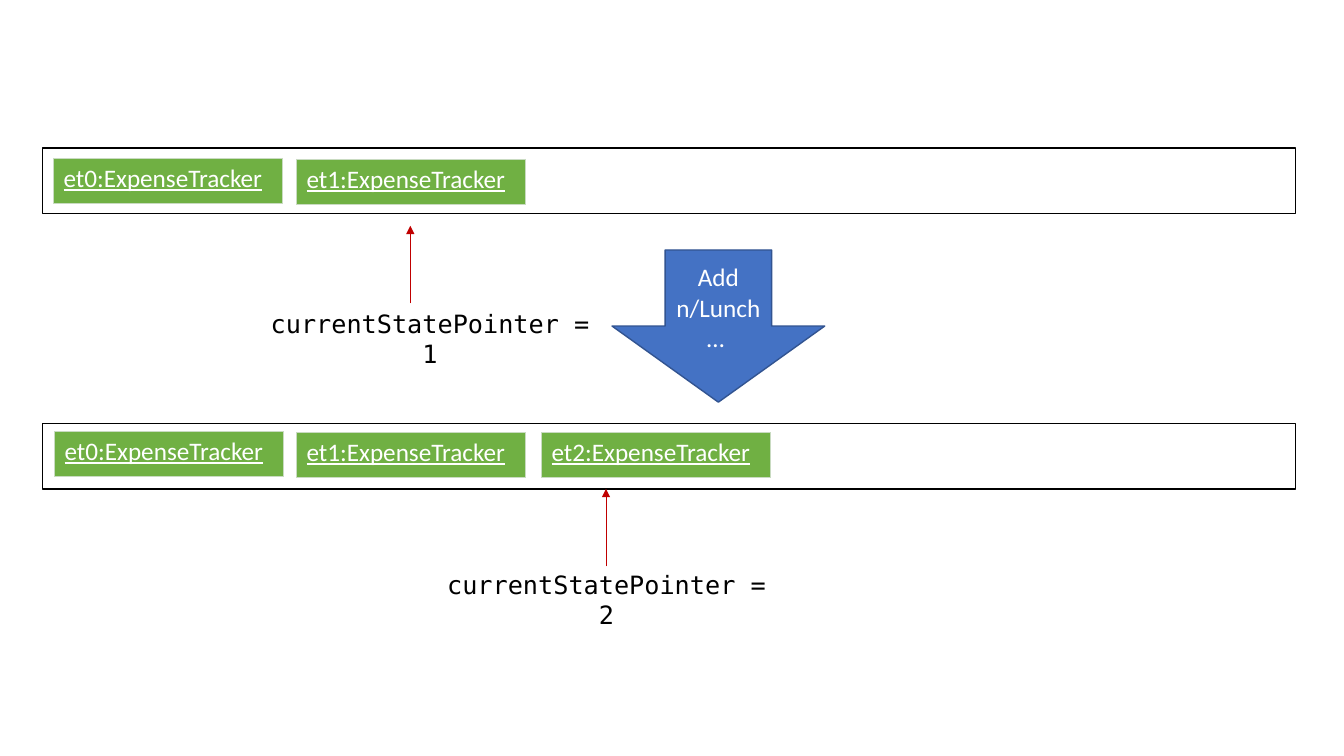
from lxml import etree
from pptx import Presentation
from pptx.dml.color import RGBColor
from pptx.enum.shapes import MSO_CONNECTOR, MSO_SHAPE
from pptx.enum.text import MSO_ANCHOR, MSO_AUTO_SIZE, PP_ALIGN
from pptx.oxml import parse_xml
from pptx.oxml.ns import nsdecls, qn
from pptx.util import Inches, Pt

CENTER, LEFT = PP_ALIGN.CENTER, PP_ALIGN.LEFT
MIDDLE = MSO_ANCHOR.MIDDLE
FIT_SHAPE = MSO_AUTO_SIZE.SHAPE_TO_FIT_TEXT
RECT, DOWN_ARROW = MSO_SHAPE.RECTANGLE, MSO_SHAPE.DOWN_ARROW
STRAIGHT = MSO_CONNECTOR.STRAIGHT

BLACK = RGBColor(0x00, 0x00, 0x00)
WHITE = RGBColor(0xFF, 0xFF, 0xFF)
BLUE = RGBColor(0x44, 0x72, 0xC4)
DARK_BLUE = RGBColor(0x32, 0x54, 0x91)
GREEN = RGBColor(0x70, 0xB0, 0x43)
PALE_GREEN = RGBColor(0xC9, 0xDB, 0xC1)
RED = RGBColor(0xC0, 0x00, 0x00)

SANS, MONO = "Calibri", "DejaVu Sans Mono"
STATE_W, STATE_H = 2.27, 0.45
POINTER_LENGTH = 0.77


def write_text(tf, text, font=SANS, color=WHITE, align=LEFT, underline=None):
    tf.word_wrap = True
    p = tf.paragraphs[0]
    p.alignment = align
    r = p.add_run()
    r.text = text
    r.font.name = font
    r.font.size = Pt(18)
    r.font.color.rgb = color
    r.font.underline = underline


def add_block(slide, kind, x, y, w, h, line, fill=None):
    s = slide.shapes.add_shape(kind, Inches(x), Inches(y), Inches(w), Inches(h))
    s.shadow.inherit = False
    if fill is None:
        s.fill.background()
    else:
        s.fill.solid()
        s.fill.fore_color.rgb = fill
    s.line.color.rgb = line
    s.line.width = Pt(1)
    return s


def add_label(slide, text, x, y):
    s = slide.shapes.add_textbox(Inches(x), Inches(y), Inches(3.51), Inches(0.4))
    write_text(s.text_frame, text, font=MONO, color=BLACK, align=CENTER)
    s.text_frame.auto_size = FIT_SHAPE


def add_pointer(slide, x, tip_y):
    """Draw a thin upward arrow that ends at tip_y."""
    s = slide.shapes.add_connector(STRAIGHT, Inches(x), Inches(tip_y + POINTER_LENGTH),
                                   Inches(x), Inches(tip_y))
    s.line.color.rgb = RED
    s.line.width = Pt(0.5)
    etree.SubElement(s.line._get_or_add_ln(), qn("a:tailEnd"), type="triangle")
    etree.SubElement(s._element.spPr, qn("a:effectLst"))


def set_borders(cell, color, width):
    tc_pr = cell._tc.get_or_add_tcPr()
    for i, side in enumerate(("lnL", "lnR", "lnT", "lnB")):
        tc_pr.insert(i, parse_xml(
            f'<a:{side} {nsdecls("a")} w="{Pt(width)}"><a:solidFill>'
            f'<a:srgbClr val="{color}"/></a:solidFill></a:{side}>'))


def add_state(slide, text, x, y):
    """Add one saved state as a single-cell table."""
    table = slide.shapes.add_table(1, 1, Inches(x), Inches(y),
                                   Inches(STATE_W), Inches(STATE_H)).table
    cell = table.cell(0, 0)
    cell.fill.solid()
    cell.fill.fore_color.rgb = GREEN
    set_borders(cell, PALE_GREEN, 0.5)
    write_text(cell.text_frame, text, underline=True)


def add_history(slide, y, states, pointer, label):
    """Add a state list with the pointer below it and the pointer's label."""
    add_block(slide, RECT, 0.42, y, 12.43, 0.65, BLACK)
    for i, (state_x, state_y) in enumerate(states):
        add_state(slide, f"et{i}:ExpenseTracker", state_x, state_y)
    add_pointer(slide, *pointer)
    add_label(slide, f"currentStatePointer = {len(states) - 1}", *label)


def main():
    prs = Presentation()
    prs.slide_width, prs.slide_height = Inches(13.33), Inches(7.5)
    slide = prs.slides.add_slide(prs.slide_layouts[6])

    command = add_block(slide, DOWN_ARROW, 6.07, 2.48, 2.11, 1.51, DARK_BLUE, BLUE)
    write_text(command.text_frame, "Add n/Lunch… ", align=CENTER)
    command.text_frame.vertical_anchor = MIDDLE

    add_history(slide, 1.47, [(0.53, 1.57), (2.94, 1.58)],
                pointer=(4.07, 2.24), label=(2.51, 3.01))
    add_history(slide, 4.2, [(0.54, 4.28), (2.94, 4.29), (5.37, 4.29)],
                pointer=(6.01, 4.85), label=(4.26, 5.6))

    prs.save("out.pptx")


if __name__ == "__main__":
    main()
